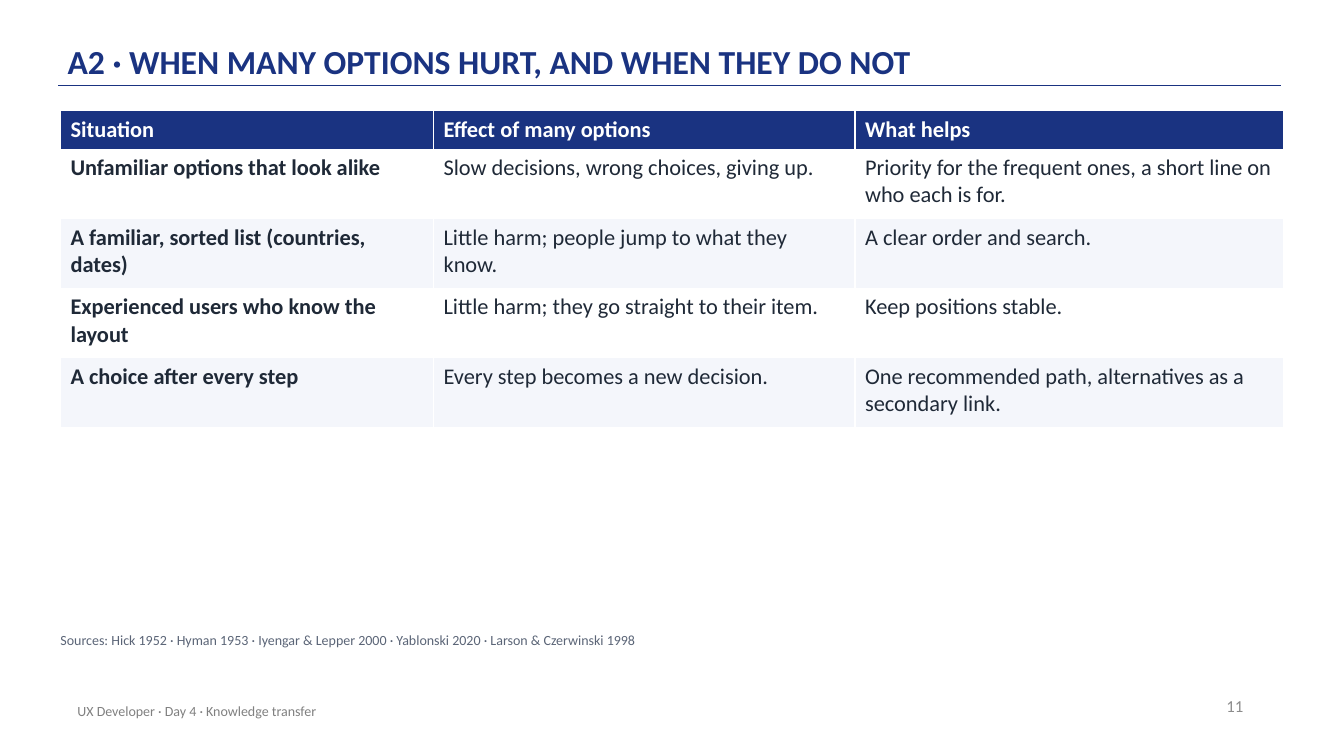
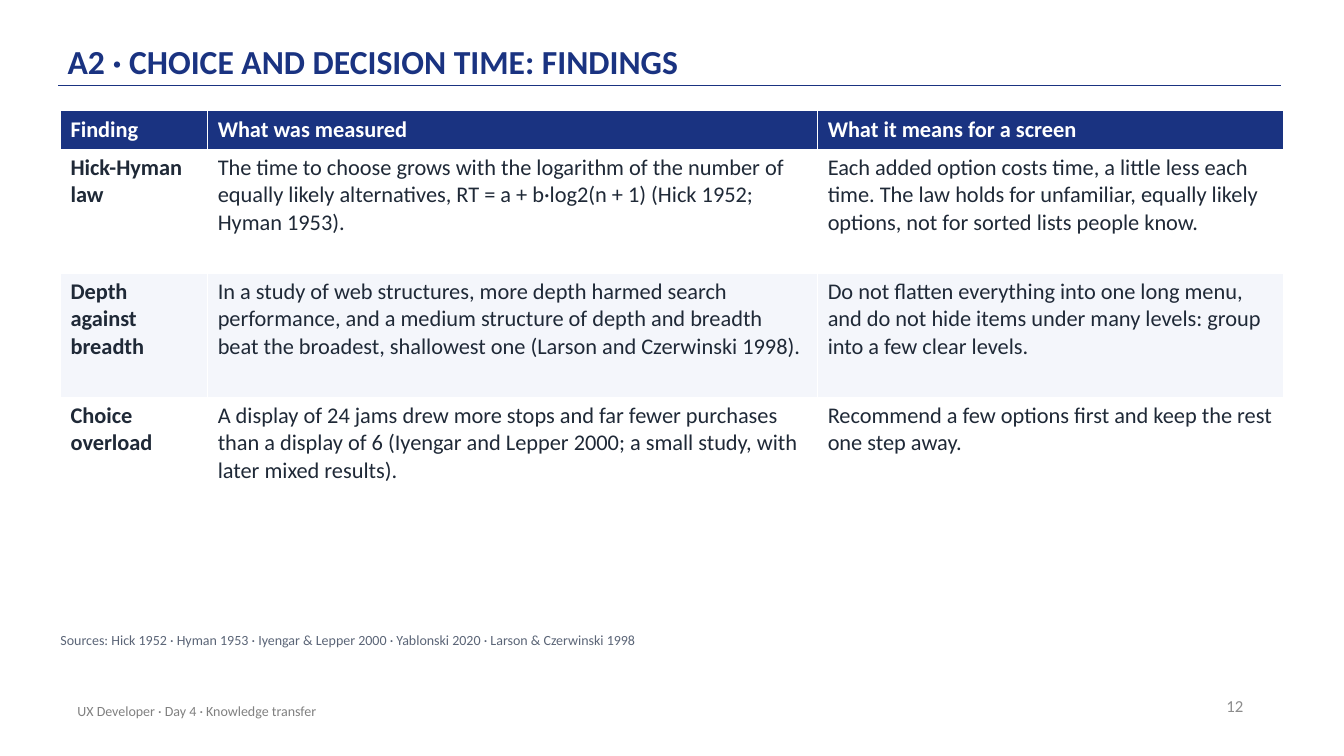
from pptx import Presentation
from pptx import util as u
from pptx.dml.color import RGBColor
from pptx.enum import shapes, text
from pptx.oxml.ns import qn
from lxml import etree

FONT = "Calibri"
COLORS = {
    "navy": "1A3381",
    "ink": "1F2937",
    "white": "FFFFFF",
    "stripe": "F4F6FB",
    "source": "5B6577",
    "footer": "808080",
    "number": "8C8C8C",
}
FOOTER = "UX Developer · Day 4 · Knowledge transfer"
SOURCES = ("Sources: Hick 1952 · Hyman 1953 · Iyengar & Lepper 2000 · "
           "Yablonski 2020 · Larson & Czerwinski 1998")
FIRST_NUMBER = 11

PAGES = [
    {
        "title": "A2 · WHEN MANY OPTIONS HURT, AND WHEN THEY DO NOT",
        "widths": [3.7, 4.18, 4.25],
        "heights": [0.38, 0.69, 0.69, 0.69, 0.69],
        "rows": [
            ["Situation", "Effect of many options", "What helps"],
            ["Unfamiliar options that look alike",
             "Slow decisions, wrong choices, giving up.",
             "Priority for the frequent ones, a short line on who each is for."],
            ["A familiar, sorted list (countries, dates)",
             "Little harm; people jump to what they know.",
             "A clear order and search."],
            ["Experienced users who know the layout",
             "Little harm; they go straight to their item.",
             "Keep positions stable."],
            ["A choice after every step",
             "Every step becomes a new decision.",
             "One recommended path, alternatives as a secondary link."],
        ],
    },
    {
        "title": "A2 · CHOICE AND DECISION TIME: FINDINGS",
        "widths": [1.46, 6.05, 4.62],
        "heights": [0.38, 1.23, 1.23, 0.96],
        "rows": [
            ["Finding", "What was measured", "What it means for a screen"],
            ["Hick-Hyman law",
             "The time to choose grows with the logarithm of the number of equally "
             "likely alternatives, RT = a + b·log2(n + 1) (Hick 1952; Hyman 1953).",
             "Each added option costs time, a little less each time. The law holds for "
             "unfamiliar, equally likely options, not for sorted lists people know."],
            ["Depth against breadth",
             "In a study of web structures, more depth harmed search performance, and a "
             "medium structure of depth and breadth beat the broadest, shallowest one "
             "(Larson and Czerwinski 1998).",
             "Do not flatten everything into one long menu, and do not hide items under "
             "many levels: group into a few clear levels."],
            ["Choice overload",
             "A display of 24 jams drew more stops and far fewer purchases than a display "
             "of 6 (Iyengar and Lepper 2000; a small study, with later mixed results).",
             "Recommend a few options first and keep the rest one step away."],
        ],
    },
]


def write(frame, words, size, color, bold=False):
    """Fill a text frame with one styled paragraph and return the paragraph."""
    para = frame.paragraphs[0]
    para.text = words
    para.font.name = FONT
    para.font.size = u.Pt(size)
    para.font.bold = bold
    para.font.color.rgb = RGBColor.from_string(COLORS[color])
    return para


def add_text(page, place, words, size, color, anchor=text.MSO_ANCHOR.MIDDLE):
    """Add a wrapping one-paragraph text box and return its frame."""
    frame = page.shapes.add_textbox(*map(u.Inches, place)).text_frame
    frame.word_wrap = True
    frame.vertical_anchor = anchor
    write(frame, words, size, color)
    return frame


deck = Presentation()
deck.slide_width, deck.slide_height = u.Inches(13.33), u.Inches(7.5)
title_only = deck.slide_layouts[5]

for number, content in enumerate(PAGES, FIRST_NUMBER):
    page = deck.slides.add_slide(title_only)

    # Title and the rule below it
    title = page.shapes.title
    title.left, title.top = u.Inches(0.67), u.Inches(0.12)
    title.width, title.height = u.Inches(11), u.Inches(0.72)
    frame = title.text_frame
    frame.auto_size = text.MSO_AUTO_SIZE.NONE
    frame.vertical_anchor = text.MSO_ANCHOR.BOTTOM
    frame.margin_left = frame.margin_right = 0
    frame.margin_top = frame.margin_bottom = u.Inches(0.03)
    para = write(frame, content["title"], 24, "navy", bold=True)
    para.alignment = text.PP_ALIGN.LEFT
    para.line_spacing = 0.9

    rule = page.shapes.add_connector(
        shapes.MSO_CONNECTOR.STRAIGHT,
        u.Inches(0.58), u.Inches(0.85), u.Inches(12.71), u.Inches(0.85))
    rule.line.color.rgb = RGBColor.from_string(COLORS["navy"])
    rule.line.width = u.Pt(1)
    etree.SubElement(rule._element.spPr, qn("a:effectLst"))

    # Page number and footer
    frame = add_text(page, (9.43, 6.8, 3, 0.4), str(number), 12, "number")
    frame.paragraphs[0].alignment = text.PP_ALIGN.RIGHT
    add_text(page, (0.67, 6.85, 6.7, 0.4), FOOTER, 10, "footer")

    # Table: navy header, then alternating rows with a bold first column
    widths, heights, rows = content["widths"], content["heights"], content["rows"]
    table = page.shapes.add_table(
        len(rows), len(widths), u.Inches(0.6), u.Inches(1.1),
        u.Inches(sum(widths)), u.Inches(sum(heights))).table
    for column, width in zip(table.columns, widths):
        column.width = u.Inches(width)
    for r, (row, height) in enumerate(zip(rows, heights)):
        table.rows[r].height = u.Inches(height)
        header = r == 0
        fill = "navy" if header else "white" if r % 2 else "stripe"
        for c, words in enumerate(row):
            cell = table.cell(r, c)
            cell.fill.solid()
            cell.fill.fore_color.rgb = RGBColor.from_string(COLORS[fill])
            write(cell.text_frame, words, 16, "white" if header else "ink",
                  bold=header or c == 0)

    # Sources
    frame = add_text(page, (0.6, 6.27, 12.1, 0.3), SOURCES, 10, "source",
                     text.MSO_ANCHOR.TOP)
    frame.margin_left = frame.margin_right = 0
    frame.margin_top = frame.margin_bottom = 0
    frame.auto_size = text.MSO_AUTO_SIZE.SHAPE_TO_FIT_TEXT
    frame.paragraphs[0].space_after = u.Pt(6)

deck.save("out.pptx")
